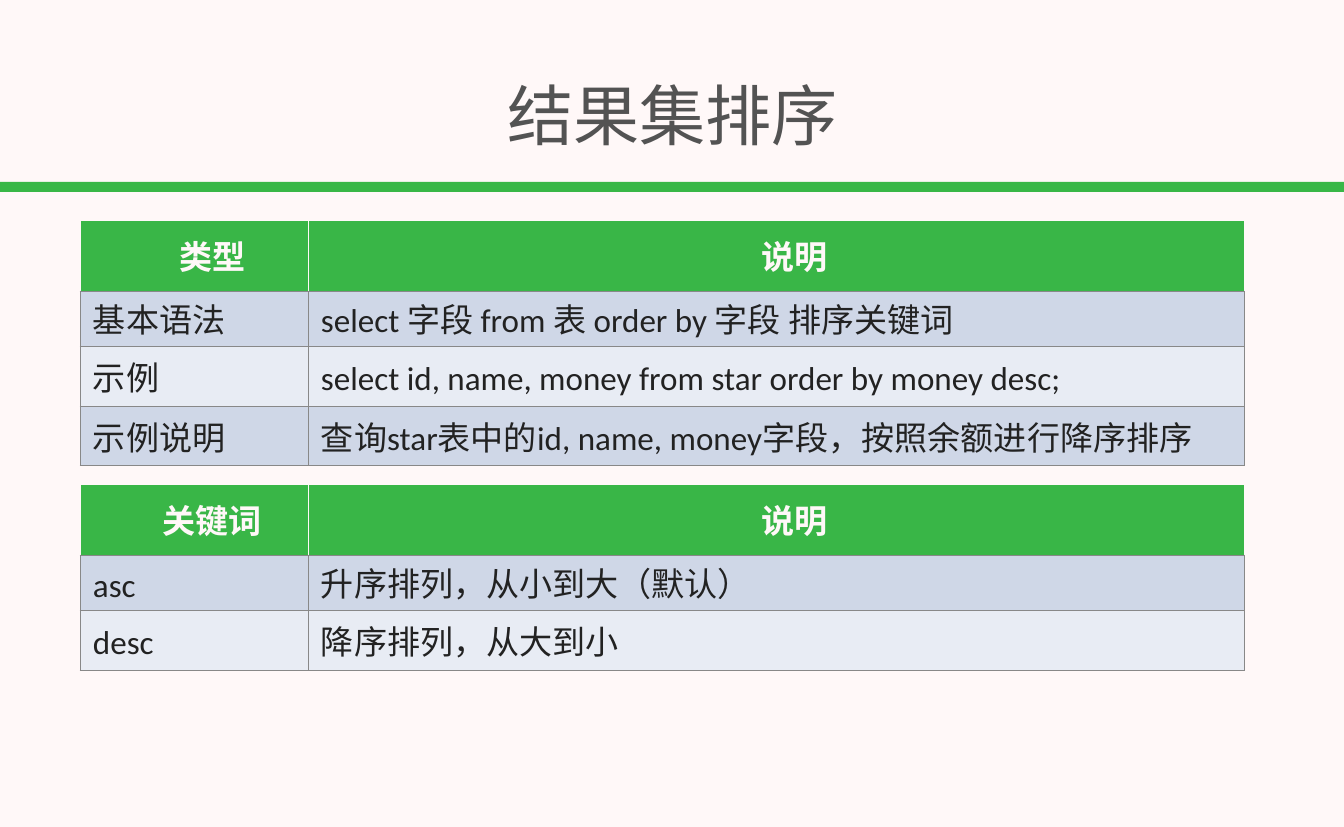
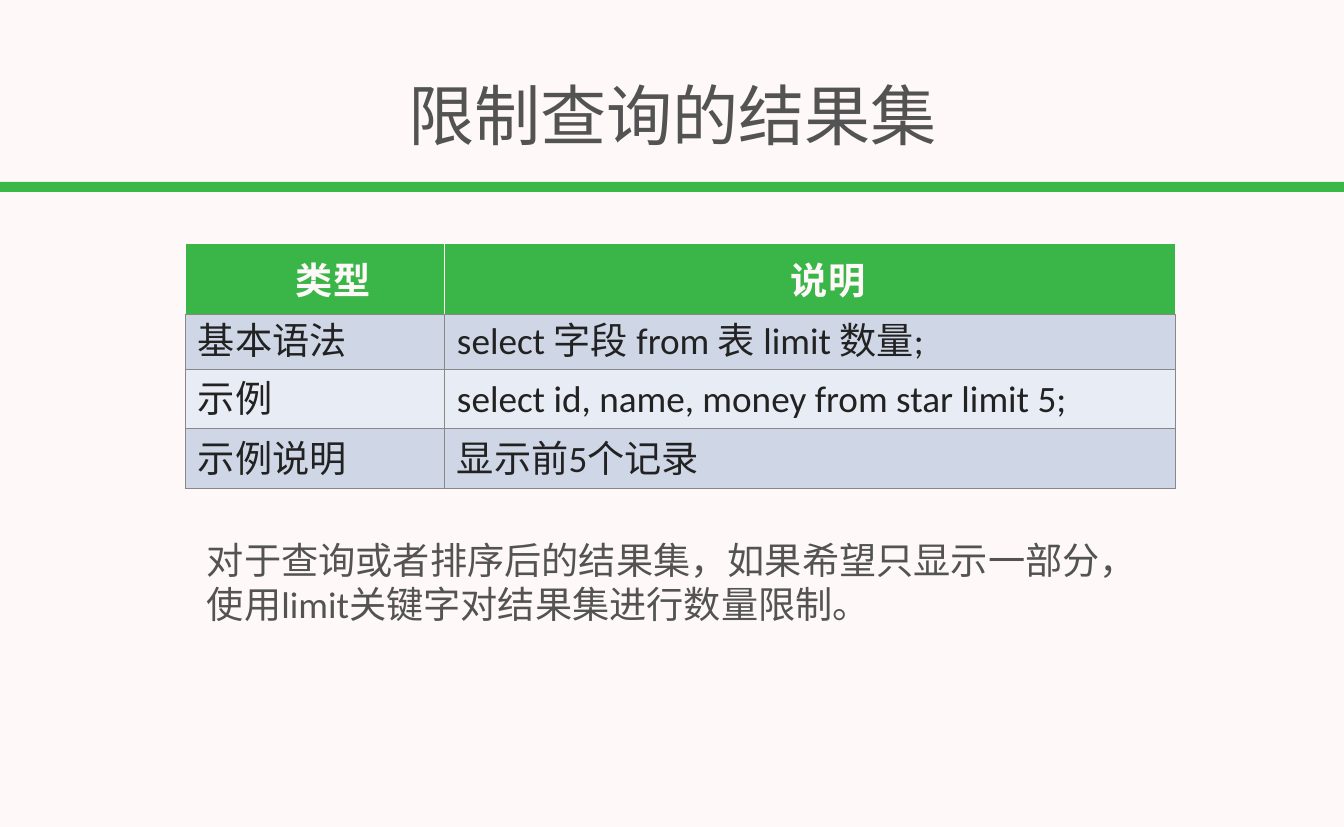
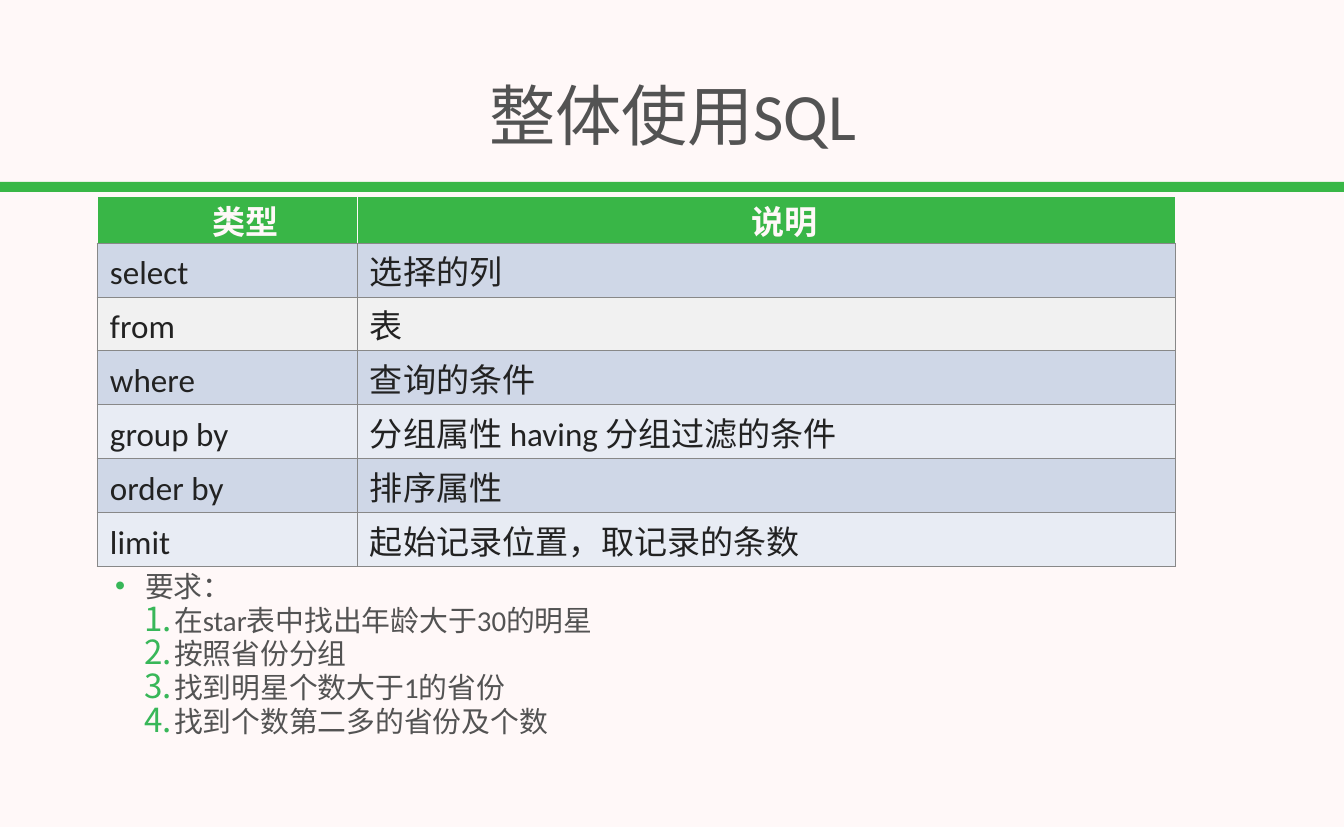
from dataclasses import dataclass
from lxml.etree import SubElement, Element
from pptx import Presentation
from pptx.dml.color import RGBColor
from pptx.enum.shapes import MSO_SHAPE
from pptx.enum.text import MSO_ANCHOR, MSO_AUTO_SIZE, PP_ALIGN
from pptx.oxml.ns import qn
from pptx.util import Pt


@dataclass(frozen=True)
class Theme:
    font: str = "Calibri"
    page: str = "FFF8F8"
    band: str = "39B747"
    head: str = "39B647"
    mark: str = "38B759"
    ink: str = "535353"
    cell: str = "222222"
    edge: str = "888888"
    dark: str = "CFD7E7"
    light: str = "E8ECF4"
    grey: str = "F1F1F1"
    title: float = 64
    large: float = 36
    text: float = 32
    list: float = 27.9
    lead: float = 46


T = Theme()
WIDE, HIGH = 1344, 827
ROWS = (71, 55, 60, 60)

SLIDES = [
    dict(
        title="结果集排序",
        tables=[
            dict(at=(80, 220), cols=(228, 937), rows=ROWS, size=T.text, data=[
                ("类型", "说明"),
                ("基本语法", "select 字段 from 表 order by 字段 排序关键词"),
                ("示例", "select id, name, money from star order by money desc;"),
                ("示例说明", "查询star表中的id, name, money字段，按照余额进行降序排序"),
            ]),
            dict(at=(80, 484), cols=(228, 937), rows=ROWS[:3], size=T.text, data=[
                ("关键词", "说明"),
                ("asc", "升序排列，从小到大（默认）"),
                ("desc", "降序排列，从大到小"),
            ]),
        ],
    ),
    dict(
        title="限制查询的结果集",
        tables=[
            dict(at=(185, 243), cols=(259, 731), rows=ROWS, size=T.large, data=[
                ("类型", "说明"),
                ("基本语法", "select 字段 from 表 limit 数量;"),
                ("示例", "select id, name, money from star limit 5;"),
                ("示例说明", "显示前5个记录"),
            ]),
        ],
        note=[
            "对于查询或者排序后的结果集，如果希望只显示一部分，",
            "使用limit关键字对结果集进行数量限制。",
        ],
    ),
    dict(
        title="整体使用SQL",
        tables=[
            dict(at=(97, 196), cols=(260, 818), rows=(47,) + (54,) * 6,
                 size=T.text, tint={2: T.grey}, data=[
                ("类型", "说明"),
                ("select", "选择的列"),
                ("from", "表"),
                ("where", "查询的条件"),
                ("group by", "分组属性 having 分组过滤的条件"),
                ("order by", "排序属性"),
                ("limit", "起始记录位置，取记录的条数"),
            ]),
        ],
        tasks=[
            "要求：",
            "在star表中找出年龄大于30的明星",
            "按照省份分组",
            "找到明星个数大于1的省份",
            "找到个数第二多的省份及个数",
        ],
    ),
]


def px(n):
    return round(n * 914400 / 74.4)


def rgb(code):
    return RGBColor.from_string(code)


def write(para, text, size, color, bold=False):
    run = para.add_run()
    run.text = text
    font = run.font
    font.name, font.size, font.bold = T.font, Pt(size), bold
    font.color.rgb = rgb(color)


def add_box(slide, *area):
    frame = slide.shapes.add_textbox(*map(px, area)).text_frame
    frame.margin_left = frame.margin_right = px(4)
    frame.margin_top = frame.margin_bottom = px(4)
    frame.word_wrap = True
    return frame


def add_paras(frame, lines):
    for i, line in enumerate(lines):
        yield i, frame.add_paragraph() if i else frame.paragraphs[0], line


def add_frame(slide, title):
    band = slide.shapes.add_shape(MSO_SHAPE.RECTANGLE, *map(px, (-1, 182, 1345, 10)))
    band.shadow.inherit = False
    band.fill.solid()
    band.fill.fore_color.rgb = rgb(T.band)
    band.line.fill.background()
    frame = add_box(slide, 4, 61, 1337, 106)
    frame.vertical_anchor = MSO_ANCHOR.MIDDLE
    para = frame.paragraphs[0]
    para.alignment = PP_ALIGN.CENTER
    write(para, title, T.title, T.ink)


def set_edges(cell, colors):
    props = cell._tc.get_or_add_tcPr()
    for i, (side, color) in enumerate(zip("LRTB", colors)):
        line = Element(qn("a:ln" + side), w=str(Pt(1)))
        fill = SubElement(line, qn("a:solidFill"))
        SubElement(fill, qn("a:srgbClr"), val=color)
        props.insert(i, line)


def fill_cell(cell, text, size, row, tint):
    head = row == 0
    side, top = (0, 0) if head else (13, 3)
    cell.margin_left = cell.margin_right = px(side)
    cell.margin_top = cell.margin_bottom = px(top)
    cell.vertical_anchor = MSO_ANCHOR.MIDDLE
    cell.fill.solid()
    cell.fill.fore_color.rgb = rgb(tint)
    set_edges(cell, [T.page] * 3 + [T.edge] if head else [T.edge] * 4)
    para = cell.text_frame.paragraphs[0]
    if head:
        para.alignment = PP_ALIGN.CENTER
        para._p.get_or_add_pPr().set("indent", str(px(37)))
    else:
        para.line_spacing = Pt(T.lead)
    write(para, text, size, T.page if head else T.cell, head)


def add_grid(slide, at, cols, rows, size, data, tint={}):
    area = (*at, sum(cols), sum(rows))
    table = slide.shapes.add_table(len(rows), len(cols), *map(px, area)).table
    table.horz_banding = False
    for col, width in zip(table.columns, cols):
        col.width = px(width)
    for r, (row, height) in enumerate(zip(table.rows, rows)):
        row.height = px(height)
        shade = T.head if r == 0 else T.dark if r % 2 else T.light
        for cell, text in zip(row.cells, data[r]):
            fill_cell(cell, text, size, r, tint.get(r, shade))


def add_note(slide, lines):
    frame = add_box(slide, 203, 533, 947, 98)
    frame.word_wrap = False
    frame.auto_size = MSO_AUTO_SIZE.SHAPE_TO_FIT_TEXT
    for _, para, line in add_paras(frame, lines):
        write(para, line, T.large, T.ink)


def set_mark(para, left, number):
    props = para._p.get_or_add_pPr()
    props.set("marL", str(px(left)))
    props.set("indent", str(px(-30)))
    color = SubElement(props, qn("a:buClr"))
    SubElement(color, qn("a:srgbClr"), val=T.mark)
    if number:
        SubElement(props, qn("a:buSzPct"), val="115000")
        SubElement(props, qn("a:buFont"), typeface=T.font)
        SubElement(props, qn("a:buAutoNum"), type="arabicPeriod")
    else:
        SubElement(props, qn("a:buFont"), typeface="Arial")
        SubElement(props, qn("a:buChar"), char="•")


def add_tasks(slide, lines):
    frame = add_box(slide, 80, 571, 1096, 176)
    for i, para, line in add_paras(frame, lines):
        para.level = 1 if i else 0
        para.line_spacing = 0.8
        para.space_before = Pt(6)
        set_mark(para, 90 if i else 61, i > 0)
        write(para, line, T.list, T.ink)


deck = Presentation()
deck.slide_width, deck.slide_height = px(WIDE), px(HIGH)
back = deck.slide_master.background.fill
back.solid()
back.fore_color.rgb = rgb(T.page)
for item in SLIDES:
    slide = deck.slides.add_slide(deck.slide_layouts[6])
    add_frame(slide, item["title"])
    for grid in item["tables"]:
        add_grid(slide, **grid)
    if "note" in item:
        add_note(slide, item["note"])
    if "tasks" in item:
        add_tasks(slide, item["tasks"])
deck.save("out.pptx")
